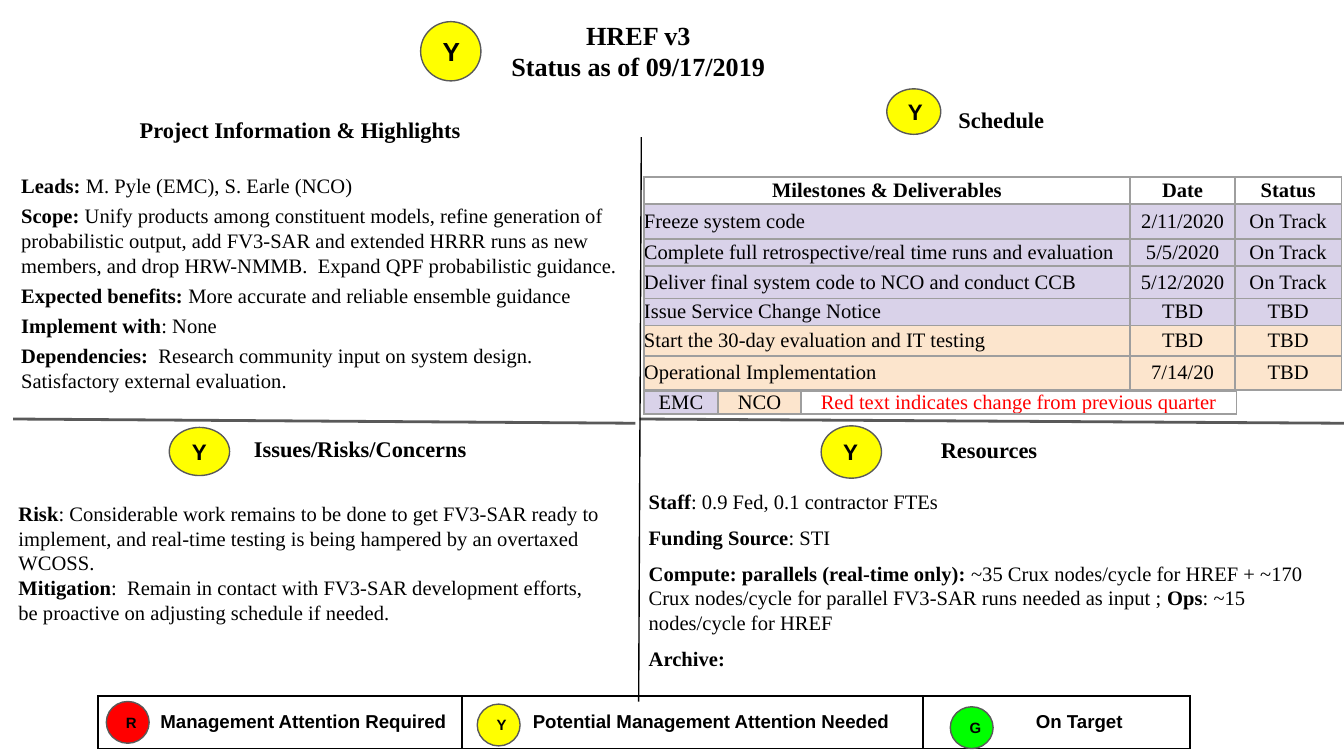
from lxml import etree
from pptx import Presentation
from pptx import util as u
from pptx.dml.color import RGBColor
from pptx.enum import shapes, text
from pptx.oxml.ns import qn

BLACK = RGBColor(0x00, 0x00, 0x00)
GRAY = RGBColor(0x59, 0x59, 0x59)
BORDER = RGBColor(0x9E, 0x9E, 0x9E)
RED = RGBColor(0xFF, 0x00, 0x00)
YELLOW = RGBColor(0xFF, 0xFF, 0x00)
GREEN = RGBColor(0x00, 0xFF, 0x00)
LILAC = RGBColor(0xD9, 0xD2, 0xE9)
PEACH = RGBColor(0xFC, 0xE5, 0xCD)

SERIF, SANS = "Times New Roman", "Arial"
LEFT, CENTER = text.PP_ALIGN.LEFT, text.PP_ALIGN.CENTER
TOP, MIDDLE = text.MSO_ANCHOR.TOP, text.MSO_ANCHOR.MIDDLE
INSET = u.Cm(0.25)


class StatusSlide:
    """Holds the text style and the slide being filled."""

    def __init__(self, slide):
        self.slide = slide

    def fill_paragraph(self, paragraph, content, size, font=SERIF, align=LEFT,
                       color=BLACK, bold=False):
        """Fill a paragraph; parts between ** marks are bold."""
        paragraph.alignment = align
        paragraph.font.name = font
        paragraph.font.size = u.Pt(size)
        paragraph.font.color.rgb = color
        for index, part in enumerate(content.split("**")):
            if part:
                run = paragraph.add_run()
                run.text = part
                run.font.bold = bold or index % 2 == 1

    def text_block(self, box, lines, size, placeholder=None, anchor=MIDDLE, gap=0, **style):
        left, top, width, height = map(u.Cm, box)
        if placeholder is None:
            shape = self.slide.shapes.add_textbox(left, top, width, height)
        else:
            shape = self.slide.placeholders[placeholder]
            shape.left, shape.top, shape.width, shape.height = left, top, width, height
        frame = shape.text_frame
        frame.word_wrap = True
        frame.auto_size = text.MSO_AUTO_SIZE.NONE
        frame.vertical_anchor = anchor
        frame.margin_left = frame.margin_right = INSET
        frame.margin_top = frame.margin_bottom = INSET
        for index, line in enumerate(lines):
            paragraph = frame.add_paragraph() if index else frame.paragraphs[0]
            paragraph.space_before = u.Pt(gap if index else 0)
            self.fill_paragraph(paragraph, line, size, **style)
            # No bullet and no hanging indent
            properties = paragraph._p.get_or_add_pPr()
            properties.set("marL", "0")
            properties.set("indent", "0")
            properties.insert_element_before(
                etree.Element(qn("a:buNone")), "a:tabLst", "a:defRPr", "a:extLst")

    def heading(self, box, line, size=12, **style):
        self.text_block(box, line.split("\n"), size, bold=True, **style)

    def body(self, box, lines, **style):
        self.text_block(box, lines, 11, anchor=TOP, **style)

    def badge(self, box, letter, fill, size, align=CENTER):
        shape = self.slide.shapes.add_shape(shapes.MSO_SHAPE.OVAL, *map(u.Cm, box))
        shape.shadow.inherit = False
        shape.fill.solid()
        shape.fill.fore_color.rgb = fill
        shape.line.color.rgb = GRAY
        shape.line.width = u.Pt(0.75)
        frame = shape.text_frame
        frame.vertical_anchor = MIDDLE
        frame.margin_left = frame.margin_right = INSET
        frame.margin_top = frame.margin_bottom = INSET
        self.fill_paragraph(frame.paragraphs[0], letter, size, SANS, align, bold=True)

    def line(self, start, end, color, weight):
        connector = self.slide.shapes.add_connector(
            shapes.MSO_CONNECTOR.STRAIGHT, *map(u.Cm, start + end))
        connector.line.color.rgb = color
        connector.line.width = u.Pt(weight)
        etree.SubElement(connector._element.spPr, qn("a:effectLst"))

    def table(self, left, top, widths, heights, border):
        table = self.slide.shapes.add_table(
            len(heights), len(widths), u.Cm(left), u.Cm(top),
            u.Cm(sum(widths)), u.Cm(sum(heights))).table
        table.first_row = table.horz_banding = False
        for column, width in zip(table.columns, widths):
            column.width = u.Cm(width)
        for row, height in zip(table.rows, heights):
            row.height = u.Cm(height)
        for cell in table.iter_cells():
            for side in ("a:lnL", "a:lnR", "a:lnT", "a:lnB"):
                edge = etree.SubElement(cell._tc.get_or_add_tcPr(), qn(side), w="12700")
                fill = etree.SubElement(edge, qn("a:solidFill"))
                etree.SubElement(fill, qn("a:srgbClr"), val=str(border))
        return table

    def cell(self, cell, content, size=11, fill=None, indent=0, align=CENTER, **style):
        cell.margin_left = u.Cm(indent)
        cell.margin_right = cell.margin_top = cell.margin_bottom = 0
        cell.vertical_anchor = MIDDLE
        if fill is None:
            cell.fill.background()
        else:
            cell.fill.solid()
            cell.fill.fore_color.rgb = fill
        self.fill_paragraph(cell.text_frame.paragraphs[0], content, size, align=align, **style)


def main():
    presentation = Presentation()
    presentation.slide_width, presentation.slide_height = u.Cm(25.4), u.Cm(14.29)
    slide = presentation.slides.add_slide(presentation.slide_layouts.get_by_name("Comparison"))
    status = StatusSlide(slide)

    # Title and quadrant headings
    status.heading((8.66, 0.18, 6.81, 1.55), "HREF v3\nStatus as of 09/17/2019", 14,
                   placeholder=0, align=CENTER)
    status.heading((2.13, 2.06, 7.09, 0.79), "Project Information & Highlights",
                   placeholder=1, align=CENTER)
    status.heading((17.68, 1.9, 2.49, 0.71), "Schedule", align=CENTER)
    status.heading((4.55, 8.13, 4.78, 0.71), "Issues/Risks/Concerns")
    status.heading((17.53, 8.15, 2.77, 0.71), "Resources", placeholder=3)

    # Quadrant texts
    status.body((0.15, 3.02, 11.94, 4.27), [
        "**Leads: **M. Pyle (EMC), S. Earle (NCO)",
        "**Scope: **Unify products among constituent models, refine generation of "
        "probabilistic output, add FV3-SAR and extended HRRR runs as new members, "
        "and drop HRW-NMMB.  Expand QPF probabilistic guidance.",
        "**Expected benefits:** More accurate and reliable ensemble guidance",
        "**Implement with**: None",
        "**Dependencies:**  Research community input on system design. "
        "Satisfactory external evaluation.",
    ], placeholder=2, gap=3)
    status.body((0.1, 9.22, 11.58, 3.02), [
        "**Risk**: Considerable work remains to be done to get FV3-SAR ready to implement, "
        "and real-time testing is being hampered by an overtaxed WCOSS.",
        "**Mitigation**:  Remain in contact with FV3-SAR development efforts, "
        "be proactive on adjusting schedule if needed.",
    ])
    status.body((12.01, 8.99, 13.18, 3.86), [
        "**Staff**: 0.9 Fed, 0.1 contractor FTEs",
        "**Funding Source**: STI",
        "**Compute: parallels (real-time only): **~35 Crux nodes/cycle for HREF + ~170 "
        "Crux nodes/cycle for parallel FV3-SAR runs needed as input ; "
        "**Ops**: ~15 nodes/cycle for HREF",
        "**Archive:**",
    ], placeholder=4, gap=6)

    # Milestones
    milestones = [
        (None, "Milestones & Deliverables", "Date", "Status"),
        (LILAC, "Freeze system code", "2/11/2020", "On Track"),
        (LILAC, "Complete full retrospective/real time runs and evaluation", "5/5/2020", "On Track"),
        (LILAC, "Deliver final system code to NCO and conduct CCB", "5/12/2020", "On Track"),
        (LILAC, "Issue Service Change Notice", "TBD", "TBD"),
        (PEACH, "Start the 30-day evaluation and IT testing", "TBD", "TBD"),
        (PEACH, "Operational Implementation", "7/14/20", "TBD"),
    ]
    table = status.table(12.17, 3.35, (9.19, 1.98, 2.01),
                         (0.51, 0.66, 0.51, 0.61, 0.51, 0.58, 0.64), BORDER)
    for row, (fill, *values) in enumerate(milestones):
        for column, value in enumerate(values):
            align = LEFT if row and column == 0 else CENTER
            status.cell(table.cell(row, column), value, fill=fill, align=align, bold=row == 0)

    # Colour key of the milestones
    owners = [("EMC", LILAC, BLACK), ("NCO", PEACH, BLACK),
              ("Red text indicates change from previous quarter", None, RED)]
    table = status.table(12.17, 7.39, (1.4, 1.57, 8.23), (0.38,), BORDER)
    for column, (label, fill, color) in enumerate(owners):
        status.cell(table.cell(0, column), label, fill=fill, color=color)

    # Status legend
    legend = [("Management Attention Required", 0.88, "R", RED, 2.01, 13.26),
              ("Potential Management Attention Needed", 0.69, "Y", YELLOW, 9.02, 13.31),
              ("On Target", 0.86, "G", GREEN, 17.96, 13.36)]
    table = status.table(1.85, 13.16, (6.88, 8.71, 5.05), (0.99,), BLACK)
    for column, (label, indent, letter, fill, left, top) in enumerate(legend):
        status.cell(table.cell(0, column), label, 10, indent=indent, font=SANS, bold=True)
        status.badge((left, top, 0.81, 0.79), letter, fill, 8, LEFT)

    # Quadrant status badges
    status.badge((7.95, 0.41, 1.14, 1.12), "Y", YELLOW, 14)
    status.badge((3.2, 8.08, 1.14, 0.91), "Y", YELLOW, 12)
    status.badge((15.52, 8.05, 1.14, 0.99), "Y", YELLOW, 12, LEFT)
    status.badge((16.76, 1.68, 1.02, 0.86), "Y", YELLOW, 12)

    # Quadrant dividers
    status.line((0.25, 7.92), (12.01, 8), GRAY, 1.5)
    status.line((12.09, 7.92), (25.4, 8), GRAY, 1.5)
    status.line((12.12, 2.59), (12.07, 13.26), BLACK, 0.75)

    presentation.save("out.pptx")


if __name__ == "__main__":
    main()
